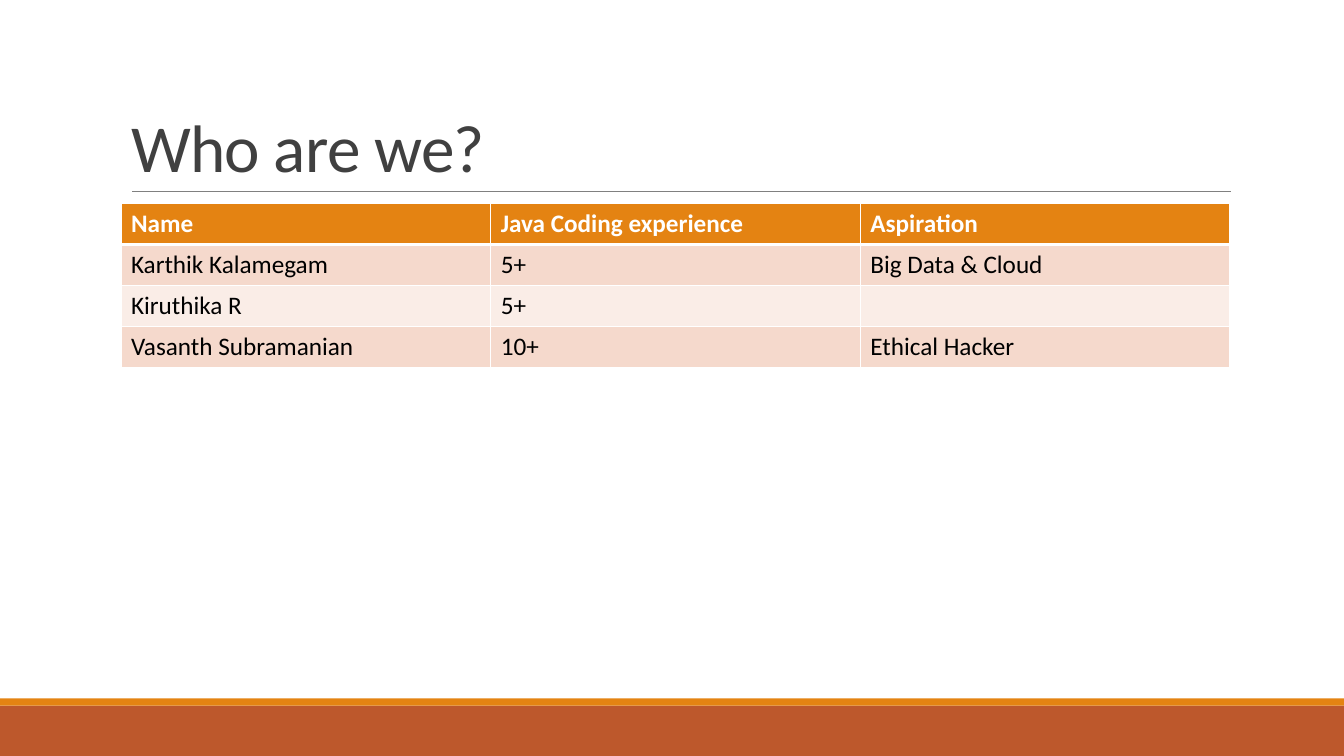
"""Build the team introduction slide with its experience table."""
from dataclasses import dataclass

from lxml import etree
from pptx import Presentation
from pptx.dml.color import RGBColor
from pptx.enum.shapes import MSO_CONNECTOR, MSO_SHAPE
from pptx.enum.text import MSO_ANCHOR, PP_ALIGN
from pptx.oxml.ns import qn
from pptx.slide import Slide
from pptx.table import _Cell
from pptx.text.text import Font
from pptx.util import Inches, Pt

RECTANGLE = MSO_SHAPE.RECTANGLE
STRAIGHT = MSO_CONNECTOR.STRAIGHT
BOTTOM = MSO_ANCHOR.BOTTOM
LEFT = PP_ALIGN.LEFT
TITLE_ONLY = 5


@dataclass(frozen=True)
class Theme:
    font: str = "Calibri"
    title_size: float = 48
    table_size: float = 18
    title: str = "404040"
    rule: str = "808080"
    orange: str = "E48312"
    rust: str = "BD582C"
    odd_row: str = "F5D9CC"
    even_row: str = "FAEDE7"
    white: str = "FFFFFF"
    black: str = "000000"


@dataclass(frozen=True)
class Band:
    top: float
    height: float
    color: str


THEME = Theme()
WIDTH, HEIGHT = 13.33, 7.5
CONTENT_LEFT, CONTENT_WIDTH = 1.2, 11
TABLE_TOP, TABLE_HEIGHT = 2.02, 1.62
BANDS = (Band(7, 0.5, THEME.rust), Band(6.93, 0.07, THEME.orange))
ROWS = (
    ("Name", "Java Coding experience", "Aspiration"),
    ("Karthik Kalamegam", "5+", "Big Data & Cloud"),
    ("Kiruthika R", "5+", ""),
    ("Vasanth Subramanian", "10+", "Ethical Hacker"),
)


def style_font(font: Font, size: float, color: str, bold: bool = False) -> None:
    font.name = THEME.font
    font.size = Pt(size)
    font.bold = bold
    font.color.rgb = RGBColor.from_string(color)


def add_band(slide: Slide, band: Band) -> None:
    shape = slide.shapes.add_shape(
        RECTANGLE, 0, Inches(band.top), Inches(WIDTH), Inches(band.height))
    shape.shadow.inherit = False
    shape.fill.solid()
    shape.fill.fore_color.rgb = RGBColor.from_string(band.color)
    shape.line.fill.background()


def add_rule(slide: Slide) -> None:
    rule = slide.shapes.add_connector(
        STRAIGHT, Inches(1.31), Inches(1.9), Inches(12.21), Inches(1.9))
    rule.line.color.rgb = RGBColor.from_string(THEME.rule)
    rule.line.width = Pt(0.5)
    etree.SubElement(rule._element.spPr, qn("a:effectLst"))


def set_title(slide: Slide, text: str) -> None:
    title = slide.shapes.title
    title.left, title.top = Inches(CONTENT_LEFT), Inches(0.31)
    title.width, title.height = Inches(CONTENT_WIDTH), Inches(1.59)
    title.text_frame.text = text
    title.text_frame.vertical_anchor = BOTTOM
    title.text_frame.word_wrap = True
    paragraph = title.text_frame.paragraphs[0]
    paragraph.alignment = LEFT
    paragraph.line_spacing = 0.85
    run = paragraph.runs[0]
    style_font(run.font, THEME.title_size, THEME.title)
    run.font._element.set("spc", "-50")


def set_borders(cell: _Cell, top: float, bottom: float) -> None:
    properties = cell._tc.get_or_add_tcPr()
    widths = {"a:lnL": 1, "a:lnR": 1, "a:lnT": top, "a:lnB": bottom}
    for position, (tag, width) in enumerate(widths.items()):
        border = etree.Element(qn(tag), w=str(Pt(width)))
        fill = etree.SubElement(border, qn("a:solidFill"))
        etree.SubElement(fill, qn("a:srgbClr"), val=THEME.white)
        properties.insert(position, border)


def add_team_table(slide: Slide) -> None:
    table = slide.shapes.add_table(
        len(ROWS), len(ROWS[0]), Inches(CONTENT_LEFT), Inches(TABLE_TOP),
        Inches(CONTENT_WIDTH), Inches(TABLE_HEIGHT)).table
    for row_index, row in enumerate(ROWS):
        is_header = row_index == 0
        row_color = THEME.odd_row if row_index % 2 else THEME.even_row
        for column_index, text in enumerate(row):
            cell = table.cell(row_index, column_index)
            cell.fill.solid()
            cell.fill.fore_color.rgb = RGBColor.from_string(
                THEME.orange if is_header else row_color)
            set_borders(cell, 3 if row_index == 1 else 1, 3 if is_header else 1)
            cell.text_frame.text = text
            paragraph = cell.text_frame.paragraphs[0]
            for run in paragraph.runs:
                style_font(run.font, THEME.table_size,
                           THEME.white if is_header else THEME.black, is_header)


def main() -> None:
    presentation = Presentation()
    presentation.slide_width = Inches(WIDTH)
    presentation.slide_height = Inches(HEIGHT)
    slide = presentation.slides.add_slide(presentation.slide_layouts[TITLE_ONLY])
    for band in BANDS:
        add_band(slide, band)
    add_rule(slide)
    set_title(slide, "Who are we?")
    add_team_table(slide)
    presentation.save("out.pptx")


if __name__ == "__main__":
    main()
